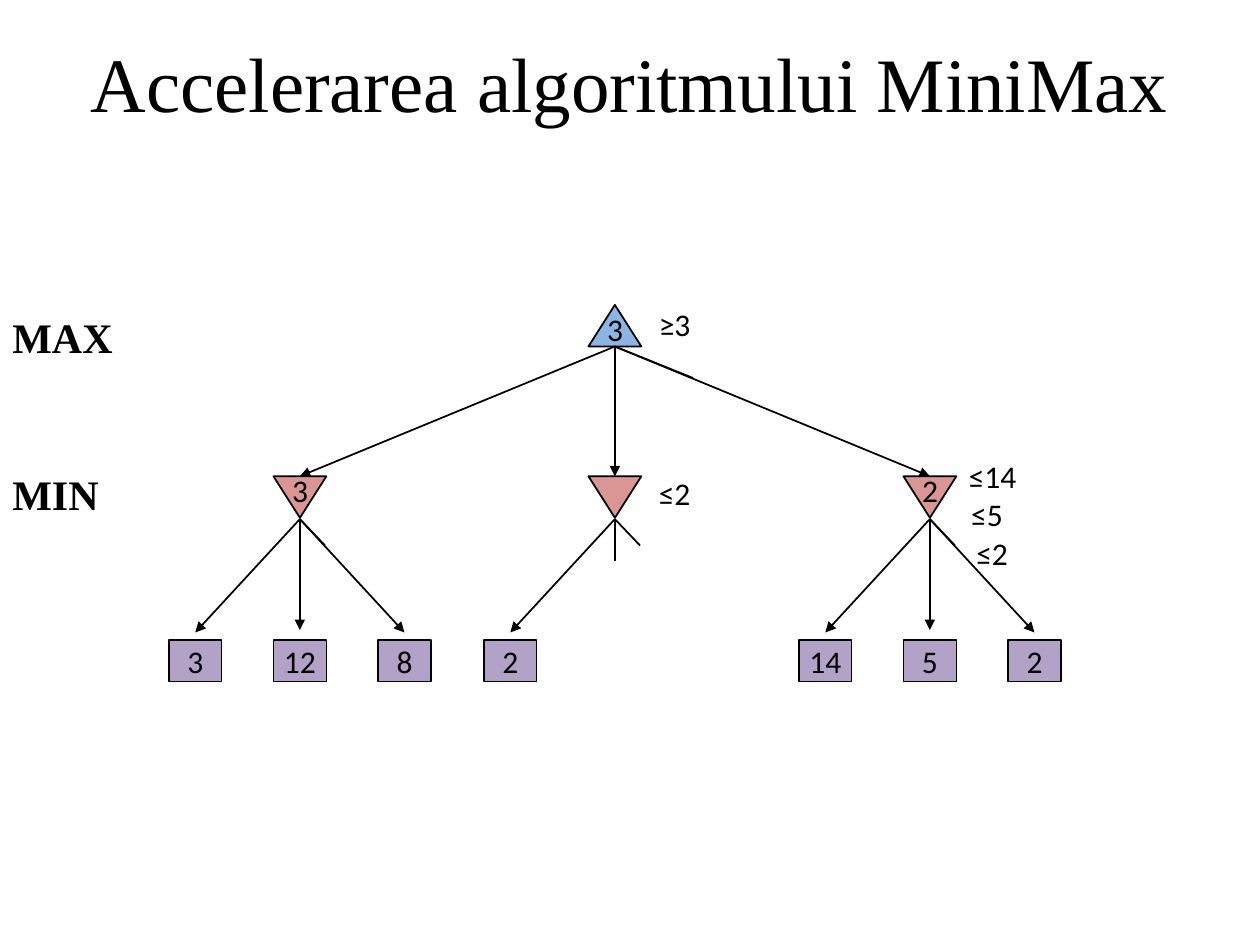
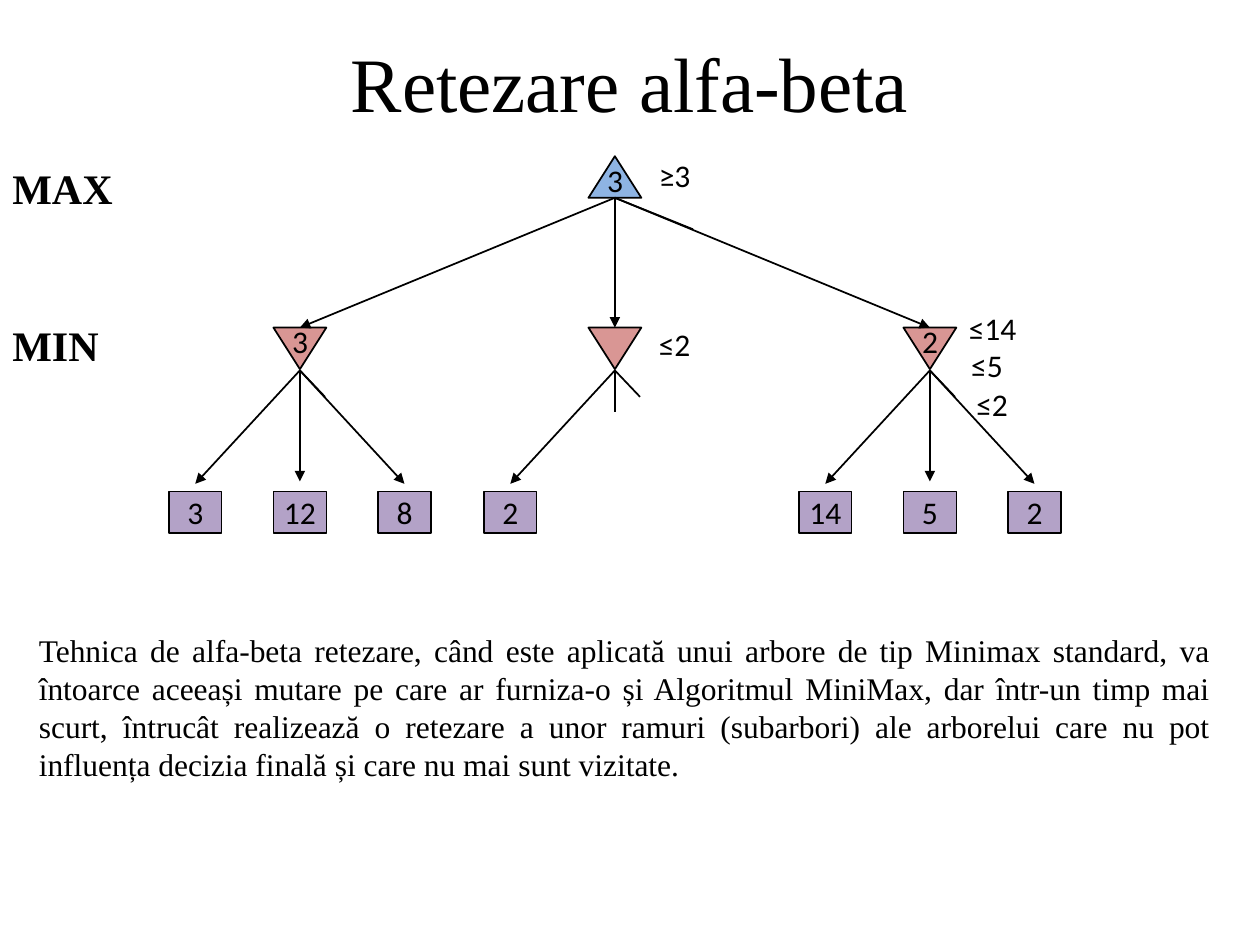
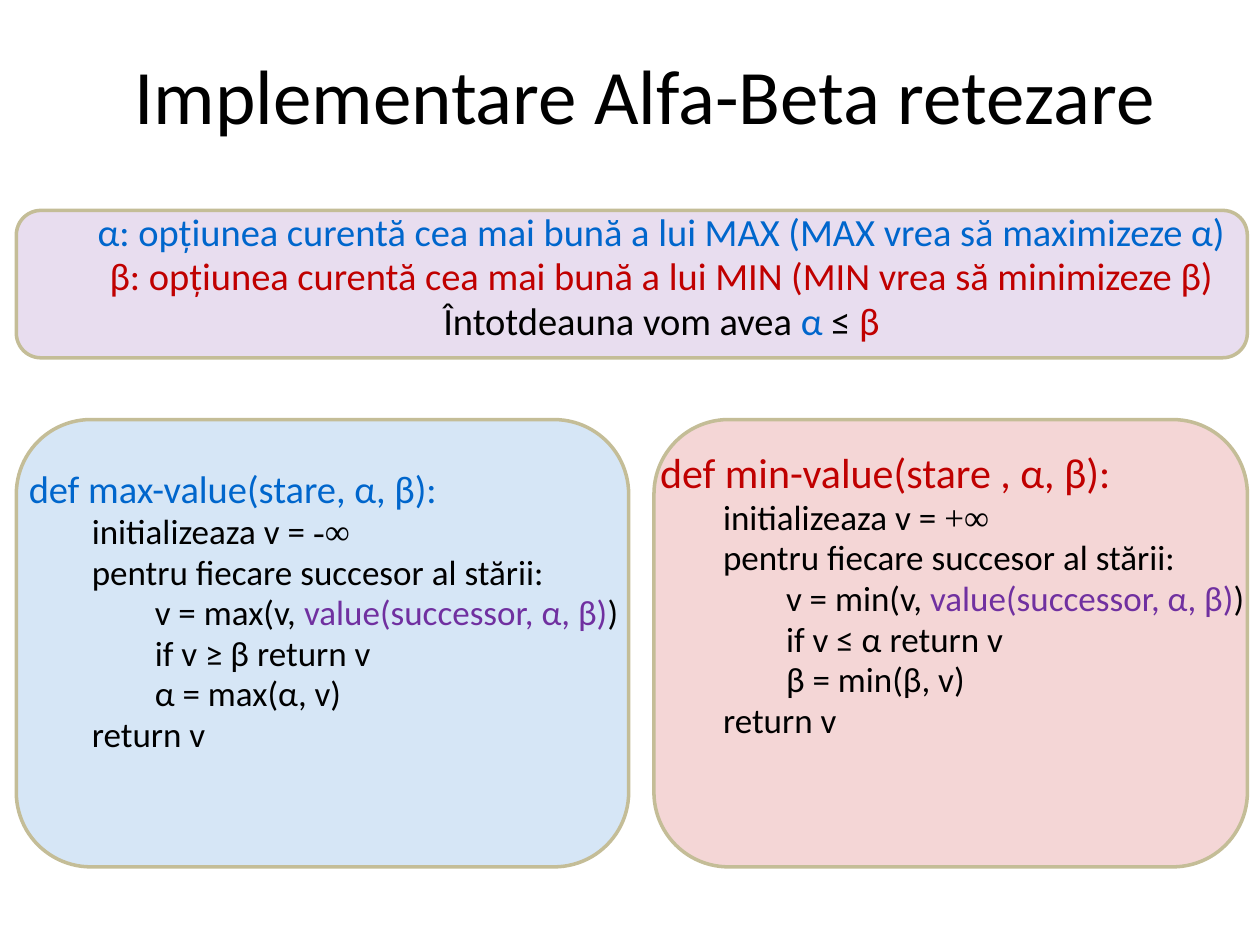
from lxml import etree
from pptx import Presentation
from pptx.dml.color import RGBColor
from pptx.enum.shapes import MSO_CONNECTOR, MSO_SHAPE
from pptx.enum.text import MSO_ANCHOR, PP_ALIGN
from pptx.oxml.ns import qn
from pptx.util import Inches, Pt

BLACK = RGBColor(0x00, 0x00, 0x00)
MAX_FILL = RGBColor(0x8E, 0xB4, 0xE3)
MIN_FILL = RGBColor(0xD9, 0x96, 0x94)
LEAF_FILL = RGBColor(0xB3, 0xA2, 0xC7)
PANEL_LINE = RGBColor(0xC4, 0xBD, 0x97)
BLUE = RGBColor(0x00, 0x66, 0xCC)
RED = RGBColor(0xC0, 0x00, 0x00)
PURPLE = RGBColor(0x70, 0x30, 0xA0)
SANS, SERIF = "Calibri", "Times New Roman"

NODE_W, NODE_H = 0.42, 0.33
ROOT_X = 4.88
LEAF_STEP = 0.83
# Each MIN node: centre x and the leaves that are visited.
MIN_NODES = [(2.38, ["3", "12", "8"]), (ROOT_X, ["2"]), (7.38, ["14", "5", "2"])]
# Text, left, top (below the root's top) and width.
TREE_LABELS = [
    ("3", 4.72, -0.01, 0.62), ("≥3", 5.13, -0.05, 0.52),
    ("3", 2.22, 1.27, 0.27), ("≤2", 5.13, 1.29, 0.52),
    ("2", 7.22, 1.27, 0.27), ("≤14", 7.59, 1.16, 0.62),
    ("≤5", 7.61, 1.46, 0.62), ("≤2", 7.65, 1.77, 0.62),
]


class Deck:
    def __init__(self):
        self.prs = Presentation()
        self.prs.slide_width, self.prs.slide_height = Inches(10), Inches(7.5)

    def new_slide(self, title, font, x=0.5, y=0.02):
        self.slide = self.prs.slides.add_slide(self.prs.slide_layouts[6])
        tf = self.text(title, x, y, 9, 1.25, 44, font, align=PP_ALIGN.CENTER)
        tf.vertical_anchor = MSO_ANCHOR.MIDDLE

    def text(self, text, x, y, w, h, size=18, font=SANS, bold=False, align=PP_ALIGN.LEFT):
        tf = self.text_frame(x, y, w, h)
        self.set_text(tf.paragraphs[0], text, size, font, bold, align)
        return tf

    def text_frame(self, x, y, w, h):
        tf = self.slide.shapes.add_textbox(
            Inches(x), Inches(y), Inches(w), Inches(h)).text_frame
        tf.word_wrap = True
        return tf

    def set_text(self, p, text, size, font, bold, align):
        p.text, p.alignment = text, align
        p.font.size, p.font.name, p.font.bold = Pt(size), font, bold
        p.font.color.rgb = BLACK

    def shape(self, kind, x, y, w, h, fill, line=BLACK, weight=1.0):
        sp = self.slide.shapes.add_shape(
            kind, Inches(x), Inches(y), Inches(w), Inches(h))
        sp.shadow.inherit = False
        sp.fill.solid()
        sp.fill.fore_color.rgb = fill
        sp.line.color.rgb, sp.line.width = line, Pt(weight)
        return sp

    def node(self, x, y, fill, rotation=0):
        sp = self.shape(MSO_SHAPE.ISOSCELES_TRIANGLE, x - NODE_W / 2, y, NODE_W, NODE_H, fill)
        sp.rotation = rotation

    def leaf(self, x, y, value):
        sp = self.shape(MSO_SHAPE.RECTANGLE, x - NODE_W / 2, y, NODE_W, NODE_H,
                        LEAF_FILL, weight=0.75)
        tf = sp.text_frame
        tf.word_wrap, tf.vertical_anchor = False, MSO_ANCHOR.MIDDLE
        self.set_text(tf.paragraphs[0], value, 18, SANS, False, PP_ALIGN.CENTER)

    def line(self, x1, y1, x2, y2, arrow=False):
        cxn = self.slide.shapes.add_connector(
            MSO_CONNECTOR.STRAIGHT, Inches(x1), Inches(y1), Inches(x2), Inches(y2))
        cxn.line.color.rgb, cxn.line.width = BLACK, Pt(1)
        sp_pr = cxn._element.spPr
        if arrow:
            etree.SubElement(sp_pr.get_or_add_ln(), qn("a:tailEnd"), type="triangle")
        etree.SubElement(sp_pr, qn("a:effectLst"))

    def panel(self, x, y, w, h, fill):
        """Rounded box with a fill that is 16% opaque."""
        sp = self.shape(MSO_SHAPE.ROUNDED_RECTANGLE, x, y, w, h, fill, PANEL_LINE, 2)
        color = sp._element.spPr.find(qn("a:solidFill"))[0]
        etree.SubElement(color, qn("a:alpha"), val="16000")

    def rich_text(self, x, y, w, h, lines, head_size, size, align=PP_ALIGN.LEFT):
        """Lines are (level, runs); a run is (text, colour) or (text, colour, font)."""
        tf = self.text_frame(x, y, w, h)
        for i, (level, runs) in enumerate(lines):
            p = tf.add_paragraph() if i else tf.paragraphs[0]
            p.alignment, p.line_spacing = align, 0.8
            p._p.get_or_add_pPr().set("marL", str(Inches(0.5 * level)))
            line_size = size if i else head_size
            p.space_before = Pt(0.2 * line_size if i else 0)
            p.font.size = Pt(line_size)
            for text, color, *font in runs:
                r = p.add_run()
                r.text = text
                r.font.size, r.font.color.rgb = Pt(line_size), color
                r.font.name = font[0] if font else SANS

    def tree(self, top):
        """Pruned game tree whose root's top lies at the given height."""
        root_y, min_y, leaf_y = top + NODE_H, top + 1.36, top + 2.66
        self.node(ROOT_X, top, MAX_FILL)
        self.line(ROOT_X, root_y, ROOT_X, root_y + 0.33)
        self.line(ROOT_X, root_y, ROOT_X + 0.62, root_y + 0.25)
        for x, leaves in MIN_NODES:
            self.node(x, min_y, MIN_FILL, 180)
            self.line(ROOT_X, root_y, x, min_y, arrow=True)
            start = min_y + 0.34
            self.line(x, start, x, start + 0.33)
            self.line(x, start, x + 0.2, start + 0.21)
            for i, value in enumerate(leaves, -1):
                leaf_x = x + i * LEAF_STEP
                self.line(x, start, leaf_x, leaf_y - (0.06 if i else 0.08), arrow=True)
                self.leaf(leaf_x, leaf_y, value)
        for text, x, dy, w in TREE_LABELS:
            self.text(text, x, top + dy, w, 0.4)
        for text, dy in (("MAX", 0), ("MIN", 1.25)):
            self.text(text, 0, top + dy, 1.1, 0.5, 24, SERIF, bold=True)

    def pseudocode(self, x, y, w, color, head, start, func, test, update):
        lines = [
            (0, [(head, color)]),
            (1, [("initializeaza v = ", BLACK), (start, BLACK, SERIF)]),
            (1, [("pentru fiecare succesor al stării:", BLACK)]),
            (2, [(f"v = {func}(v, ", BLACK), ("value(successor, α, β)", PURPLE), (")", BLACK)]),
            (2, [(test, BLACK)]),
            (2, [(update, BLACK)]),
            (1, [("return v", BLACK)]),
        ]
        self.rich_text(x, y, w, 2.5, lines, 24 if func == "min" else 22, 20)


def main():
    deck = Deck()

    deck.new_slide("Accelerarea algoritmului MiniMax", SERIF)
    deck.tree(2.42)

    deck.new_slide("Retezare alfa-beta", SERIF)
    deck.tree(1.24)
    deck.text(
        "Tehnica de alfa-beta retezare, când este aplicată unui arbore de tip Minimax "
        "standard, va întoarce aceeași mutare pe care ar furniza-o și Algoritmul MiniMax, "
        "dar într-un timp mai scurt, întrucât realizează o retezare a unor ramuri "
        "(subarbori) ale arborelui care nu pot influența decizia finală și care nu mai "
        "sunt vizitate.",
        0.21, 4.96, 9.5, 1.31, font=SERIF, align=PP_ALIGN.JUSTIFY)

    deck.new_slide("Implementare Alfa-Beta retezare", SANS, 0.62, 0.12)
    deck.panel(5.19, 3.33, 4.71, 3.55, RED)
    deck.panel(0.13, 3.33, 4.86, 3.55, BLUE)
    deck.panel(0.13, 1.67, 9.77, 1.17, PURPLE)
    deck.pseudocode(5.14, 3.57, 4.9, RED, "def min-value(stare , α, β):", "+∞", "min",
                    "if v ≤ α return v", "β = min(β, v)")
    deck.pseudocode(0.13, 3.71, 4.98, BLUE, "def max-value(stare, α, β):", "-∞", "max",
                    "if v ≥ β return v", "α = max(α, v)")
    deck.rich_text(0, 1.67, 10, 1.58, [
        (1, [("α: opțiunea curentă cea mai bună a lui MAX (MAX vrea să maximizeze α)", BLUE)]),
        (1, [("β: opțiunea curentă cea mai bună a lui MIN (MIN vrea să minimizeze β)", RED)]),
        (1, [("Întotdeauna vom avea ", BLACK), ("α ", BLUE), ("≤ ", BLACK), ("β", RED)]),
    ], 22, 22, PP_ALIGN.CENTER)

    deck.prs.save("out.pptx")


if __name__ == "__main__":
    main()
